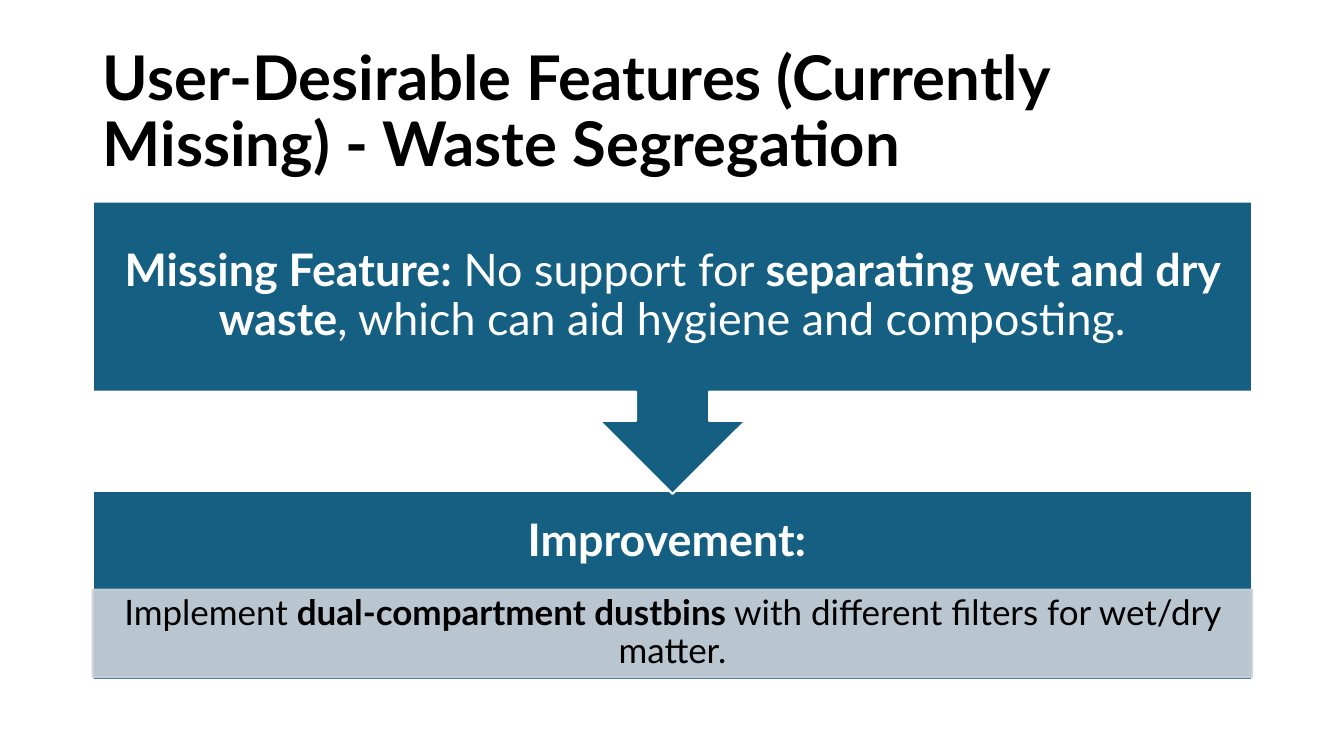
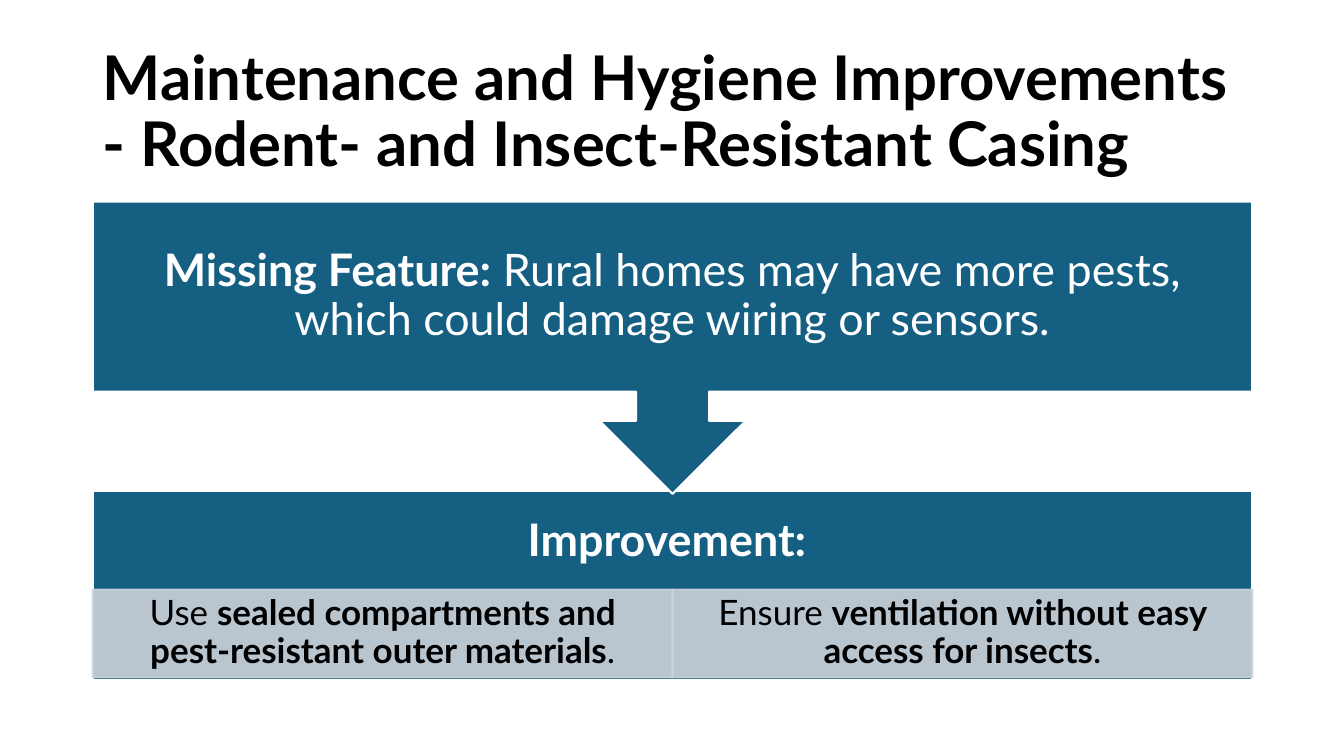
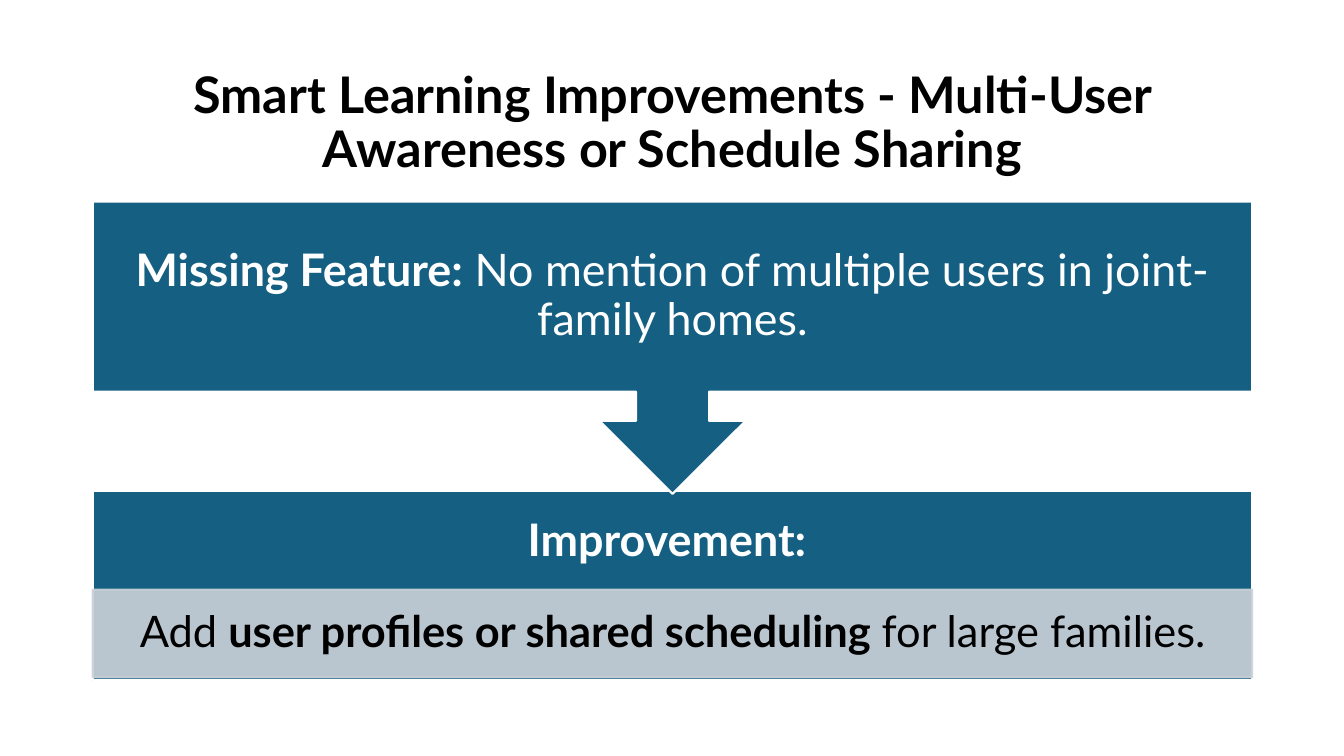
from pptx import Presentation
from pptx.util import Inches, Pt
from pptx.dml.color import RGBColor as RGB
from pptx.enum.shapes import MSO_SHAPE as Geo
from pptx.enum.text import MSO_ANCHOR as Anchor, PP_ALIGN as Align
from pptx.oxml.ns import qn
from lxml.etree import SubElement as add_sub

# Content: text between ** marks is bold
PAGES = [
    dict(title="User-Desirable Features (Currently Missing) - Waste Segregation",
         lack="No support for **separating wet and dry waste**, "
              "which can aid hygiene and composting.",
         fixes=["Implement **dual-compartment dustbins** with different "
                "filters for wet/dry matter."]),
    dict(title="Maintenance and Hygiene Improvements "
               "- Rodent- and Insect-Resistant Casing",
         lack="Rural homes may have more pests, "
              "which could damage wiring or sensors.",
         fixes=["Use **sealed compartments and pest-resistant outer materials**.",
                "Ensure **ventilation without easy access for insects**."]),
    dict(title="Smart Learning Improvements - Multi-User Awareness "
               "or Schedule Sharing",
         head=dict(top=0.61, size=36, align=Align.CENTER),
         lack="No mention of multiple users in joint-family homes.",
         fixes=["Add **user profiles or shared scheduling** for large families."],
         fit=dict(size=31, pad=(0.24, 0.04))),
]

# Shared look
FONT = "Lato"
HUES = dict(band="156082", pale="CCD2D8", ink="000000", paper="FFFFFF")
WIDE, HIGH = 13.33, 7.5
LEFT, SPAN = 0.92, 11.5
HEAD = dict(top=0.4, size=44, align=Align.LEFT)
HEAD_END = 1.85
CALL = (LEFT, 2, SPAN, 2.9)
BODY = (LEFT, 2, SPAN, 1.88)
BASE = (LEFT, 4.87, SPAN, 1.88)
LABEL = (LEFT, 4.87, SPAN, 1.02)
FIX_TOP, FIX_HIGH = 5.85, 0.87
FIT = dict(size=25, pad=(0.19, 0.03))
BIG = dict(size=32, hue="paper", pad=(0.25, 0.25))


def add_text(slide, box, text, size=32, hue="ink", align=Align.CENTER,
             pad=(0.1, 0.05)):
    frame = slide.shapes.add_textbox(*map(Inches, box)).text_frame
    frame.word_wrap = True
    frame.vertical_anchor = Anchor.MIDDLE
    frame.margin_left = frame.margin_right = Inches(pad[0])
    frame.margin_top = frame.margin_bottom = Inches(pad[1])
    para = frame.paragraphs[0]
    para.alignment, para.line_spacing = align, 0.9
    for i, part in enumerate(text.split("**")):
        if part:
            run = para.add_run()
            run.text = part
            font = run.font
            font.name, font.size, font.bold = FONT, Pt(size), i % 2 == 1
            font.color.rgb = RGB.from_string(HUES[hue])


def add_block(slide, box, geo=Geo.RECTANGLE, fill="band", line="paper",
              alpha=None, turn=0):
    block = slide.shapes.add_shape(geo, *map(Inches, box))
    block.shadow.inherit = False
    block.rotation = turn
    block.line.width = Pt(1.5)
    for paint, hue in ((block.fill, fill), (block.line.fill, line)):
        paint.solid()
        paint.fore_color.rgb = RGB.from_string(HUES[hue])
    if alpha:
        for clr in block.fill._xPr.iter(qn("a:srgbClr")):
            add_sub(clr, qn("a:alpha")).set("val", str(alpha * 1000))


def add_page(deck, page):
    slide = deck.slides.add_slide(deck.slide_layouts[6])

    # Title
    head = {**HEAD, **page.get("head", {})}
    top = head.pop("top")
    add_text(slide, (LEFT, top, SPAN, HEAD_END - top),
             f"**{page['title']}**", **head)

    # Improvement band with its equal cells
    add_block(slide, BASE)
    add_text(slide, LABEL, "**Improvement: **", **BIG)
    cell = SPAN / len(page["fixes"])
    for i, fix in enumerate(page["fixes"]):
        box = (LEFT + i * cell, FIX_TOP, cell, FIX_HIGH)
        add_block(slide, box, fill="pale", line="pale", alpha=90)
        add_text(slide, box, fix, **page.get("fit", FIT))

    # Missing feature, pointing down to the band
    add_block(slide, CALL, Geo.UP_ARROW_CALLOUT, turn=180)
    add_text(slide, BODY, f"**Missing Feature:** {page['lack']}", **BIG)


def main():
    deck = Presentation()
    deck.slide_width, deck.slide_height = Inches(WIDE), Inches(HIGH)
    for page in PAGES:
        add_page(deck, page)
    deck.save("out.pptx")


if __name__ == "__main__":
    main()
